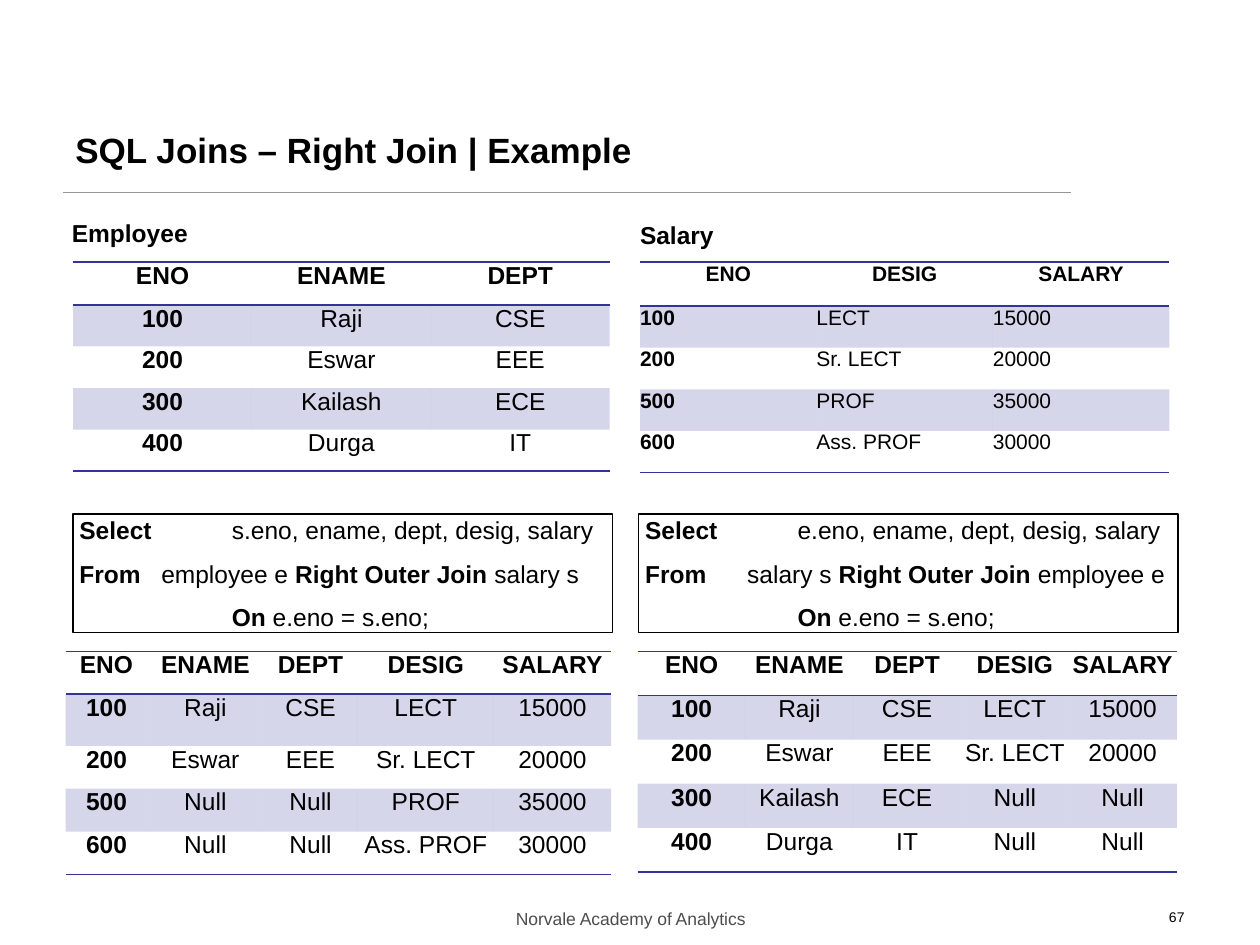
from dataclasses import dataclass

from lxml import etree
from pptx import Presentation
from pptx import util as u
from pptx.dml.color import RGBColor
from pptx.enum import shapes, text
from pptx.oxml import ns

Inches, Pt = u.Inches, u.Pt
LEFT, CENTER, RIGHT = text.PP_ALIGN.LEFT, text.PP_ALIGN.CENTER, text.PP_ALIGN.RIGHT
BLACK, GREY, RULE_GREY, INDIGO = "000000", "4D4D4D", "969696", "333399"
NO_STYLE = "{2D5ABB26-0587-4C30-8999-92F81FD0307C}"
BAND_ALPHA = 20
ON_TAB = 1.21


@dataclass
class DataTable:
    left: float
    top: float
    columns: list[float]
    heights: list[float]
    rows: list[str]
    size: int = 14
    body_align: int = CENTER


@dataclass
class Label:
    content: str
    left: float
    top: float
    width: float
    height: float
    size: int
    color: str = BLACK
    bold: bool = False
    align: int = LEFT
    inset: bool = True
    anchor: int = text.MSO_ANCHOR.TOP


@dataclass
class QueryLine:
    """Runs of (text, bold), with one tab stop in inches."""
    tab: float
    runs: list[tuple[str, bool]]


@dataclass
class Query:
    left: float
    lines: list[QueryLine]


JOIN_CONDITION = QueryLine(ON_TAB, [("\tOn ", True), ("e.eno = s.eno;", False)])

LABELS = [
    Label("Norvale Academy of Analytics", 3.42, 7.16, 3.17, 0.25, 10, GREY, align=CENTER),
    Label("67", 7.17, 7.16, 2.33, 0.25, 8, align=RIGHT),
    Label("SQL Joins – Right Join | Example", 0.5, 0.85, 7.5, 0.67, 20, bold=True,
          anchor=text.MSO_ANCHOR.MIDDLE),
    Label("Employee", 0.57, 1.73, 1.4, 0.24, 14, bold=True, inset=False),
    Label("Salary", 5.08, 1.75, 1.4, 0.24, 14, bold=True, inset=False),
]

TABLES = [
    DataTable(0.58, 2.08, [1.42] * 3, [0.34] + [0.33] * 4, [
        "ENO|ENAME|DEPT",
        "100|Raji|CSE",
        "200|Eswar|EEE",
        "300|Kailash|ECE",
        "400|Durga|IT",
    ]),
    DataTable(5.08, 2.08, [1.4] * 3, [0.35] + [0.33] * 4, [
        "ENO|DESIG|SALARY",
        "100|LECT|15000",
        "200|Sr. LECT|20000",
        "500|PROF|35000",
        "600|Ass. PROF|30000",
    ], size=12, body_align=LEFT),
    DataTable(0.52, 5.17, [0.65, 0.92, 0.75, 1.08, 0.93], [0.34, 0.41, 0.34, 0.34, 0.34], [
        "ENO|ENAME|DEPT|DESIG|SALARY",
        "100|Raji|CSE|LECT|15000",
        "200|Eswar|EEE|Sr. LECT|20000",
        "500|Null|Null|PROF|35000",
        "600|Null|Null|Ass. PROF|30000",
    ]),
    DataTable(5.06, 5.17, [0.86, 0.85, 0.86, 0.85, 0.86], [0.35] * 5, [
        "ENO|ENAME|DEPT|DESIG|SALARY",
        "100|Raji|CSE|LECT|15000",
        "200|Eswar|EEE|Sr. LECT|20000",
        "300|Kailash|ECE|Null|Null",
        "400|Durga|IT|Null|Null",
    ]),
]

QUERIES = [
    Query(0.58, [
        QueryLine(ON_TAB, [("Select\t", True), ("s.eno, ename, dept, desig, salary", False)]),
        QueryLine(0.65, [("From\t", True), ("employee e ", False),
                         ("Right Outer Join ", True), ("salary s", False)]),
        JOIN_CONDITION,
    ]),
    Query(5.07, [
        QueryLine(ON_TAB, [("Select\t", True), ("e.eno, ename, dept, desig, salary", False)]),
        QueryLine(0.81, [("From\t", True), ("salary s ", False),
                         ("Right Outer Join", True), (" employee e", False)]),
        JOIN_CONDITION,
    ]),
]


def rgb(value: str) -> RGBColor:
    return RGBColor.from_string(value)


def set_font(paragraph, size: int, color: str = BLACK, bold: bool | None = None) -> None:
    font = paragraph.font
    font.name, font.size, font.bold = "Arial", Pt(size), bold
    font.color.rgb = rgb(color)


def clear_margins(box) -> None:
    box.margin_left = box.margin_top = box.margin_right = box.margin_bottom = 0


def add_label(slide, label: Label) -> None:
    box = slide.shapes.add_textbox(*map(Inches, (label.left, label.top, label.width, label.height)))
    frame = box.text_frame
    frame.word_wrap = True
    frame.vertical_anchor = label.anchor
    if not label.inset:
        clear_margins(frame)
    paragraph = frame.paragraphs[0]
    paragraph.text, paragraph.alignment = label.content, label.align
    set_font(paragraph, label.size, label.color, label.bold)


def add_border(cell, side: str) -> None:
    """Draw one edge of a cell; side is T or B."""
    properties = cell._tc.get_or_add_tcPr()
    line = etree.SubElement(properties, ns.qn(f"a:ln{side}"), w=str(Pt(1)))
    fill = etree.SubElement(line, ns.qn("a:solidFill"))
    etree.SubElement(fill, ns.qn("a:srgbClr"), val=INDIGO)


def fill_band(cell) -> None:
    cell.fill.solid()
    cell.fill.fore_color.rgb = rgb(INDIGO)
    color = cell._tc.tcPr.find(ns.qn("a:solidFill"))[0]
    etree.SubElement(color, ns.qn("a:alpha"), val=str(BAND_ALPHA * 1000))


def add_data_table(slide, data: DataTable) -> None:
    frame = slide.shapes.add_table(
        len(data.rows), len(data.columns), Inches(data.left), Inches(data.top),
        Inches(sum(data.columns)), Inches(sum(data.heights)))
    table = frame.table
    table.first_row = table.horz_banding = False
    table._tbl.tblPr.find(ns.qn("a:tableStyleId")).text = NO_STYLE
    for column, width in zip(table.columns, data.columns):
        column.width = Inches(width)
    last = len(data.rows) - 1
    for row_index, (height, row) in enumerate(zip(data.heights, data.rows)):
        table.rows[row_index].height = Inches(height)
        header = row_index == 0
        for column_index, value in enumerate(row.split("|")):
            cell = table.cell(row_index, column_index)
            clear_margins(cell)
            if header:
                add_border(cell, "T")
            if row_index in (0, last):
                add_border(cell, "B")
            if row_index % 2:
                fill_band(cell)
            else:
                cell.fill.background()
            paragraph = cell.text_frame.paragraphs[0]
            paragraph.text = value
            paragraph.alignment = CENTER if header else data.body_align
            set_font(paragraph, data.size, bold=header or column_index == 0)


def add_query(slide, query: Query) -> None:
    box = slide.shapes.add_shape(shapes.MSO_SHAPE.RECTANGLE, Inches(query.left), Inches(4.08),
                                 Inches(4.28), Inches(0.94))
    box.shadow.inherit = False
    box.fill.background()
    box.line.color.rgb, box.line.width = rgb(BLACK), Pt(0.75)
    frame = box.text_frame
    frame.word_wrap = True
    frame.vertical_anchor = text.MSO_ANCHOR.MIDDLE
    clear_margins(frame)
    frame.margin_left = Inches(0.05)
    for index, line in enumerate(query.lines):
        paragraph = frame.add_paragraph() if index else frame.paragraphs[0]
        paragraph.alignment = LEFT
        if index:
            paragraph.space_before = Pt(8)
        tabs = etree.SubElement(paragraph._p.get_or_add_pPr(), ns.qn("a:tabLst"))
        etree.SubElement(tabs, ns.qn("a:tab"), pos=str(Inches(line.tab)), algn="l")
        set_font(paragraph, 14)
        for content, bold in line.runs:
            run = paragraph.add_run()
            run.text, run.font.bold = content, bold


def add_title_rule(slide) -> None:
    rule = slide.shapes.add_connector(shapes.MSO_CONNECTOR.STRAIGHT, Inches(0.5), Inches(1.53),
                                      Inches(8.5), Inches(1.53))
    rule.line.color.rgb, rule.line.width = rgb(RULE_GREY), Pt(0.75)
    etree.SubElement(rule._element.spPr, ns.qn("a:effectLst"))


def main() -> None:
    presentation = Presentation()
    presentation.slide_width, presentation.slide_height = Inches(10), Inches(7.5)
    slide = presentation.slides.add_slide(presentation.slide_layouts[6])
    add_title_rule(slide)
    for draw, items in ((add_label, LABELS), (add_data_table, TABLES), (add_query, QUERIES)):
        for item in items:
            draw(slide, item)
    presentation.save("out.pptx")


if __name__ == "__main__":
    main()
